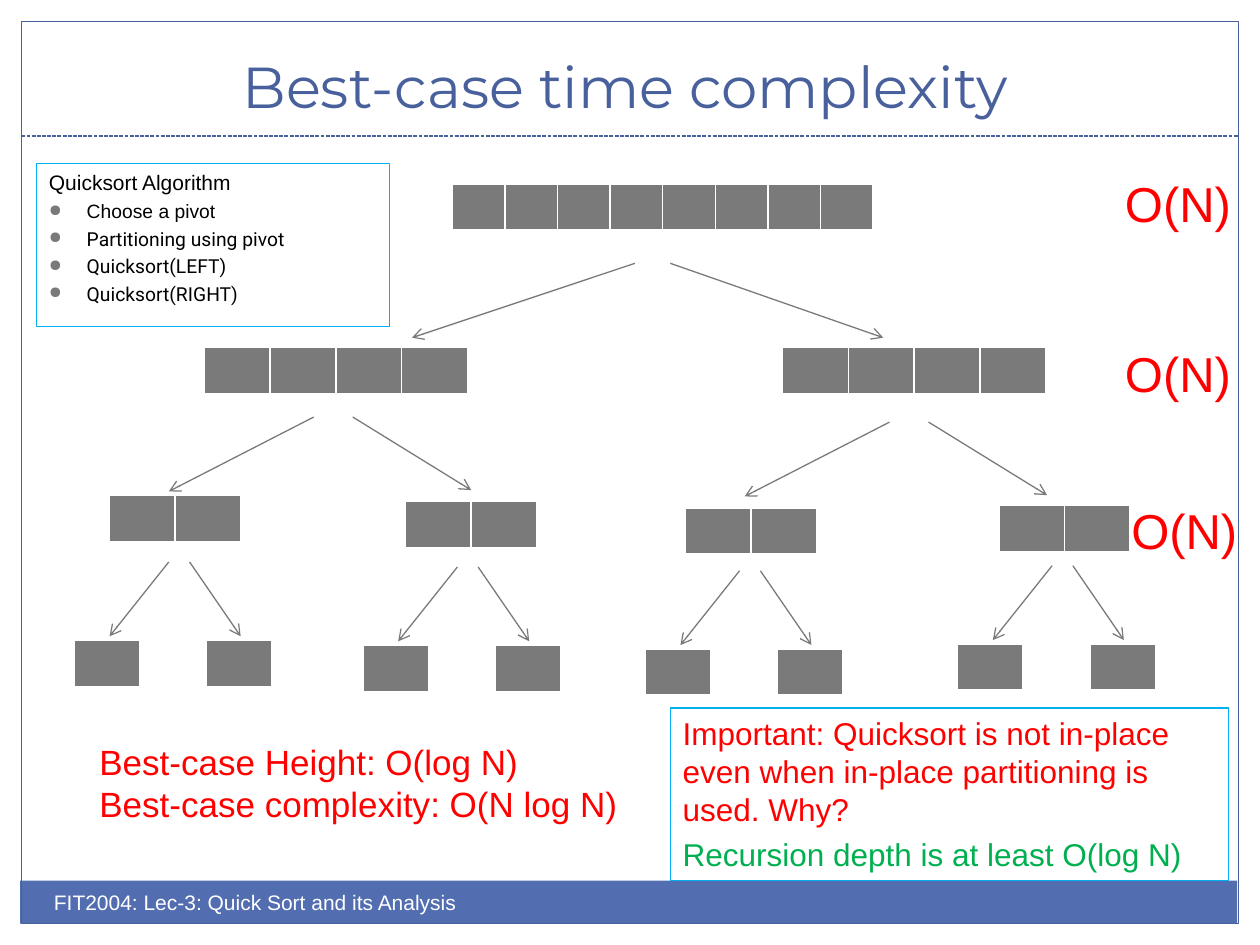
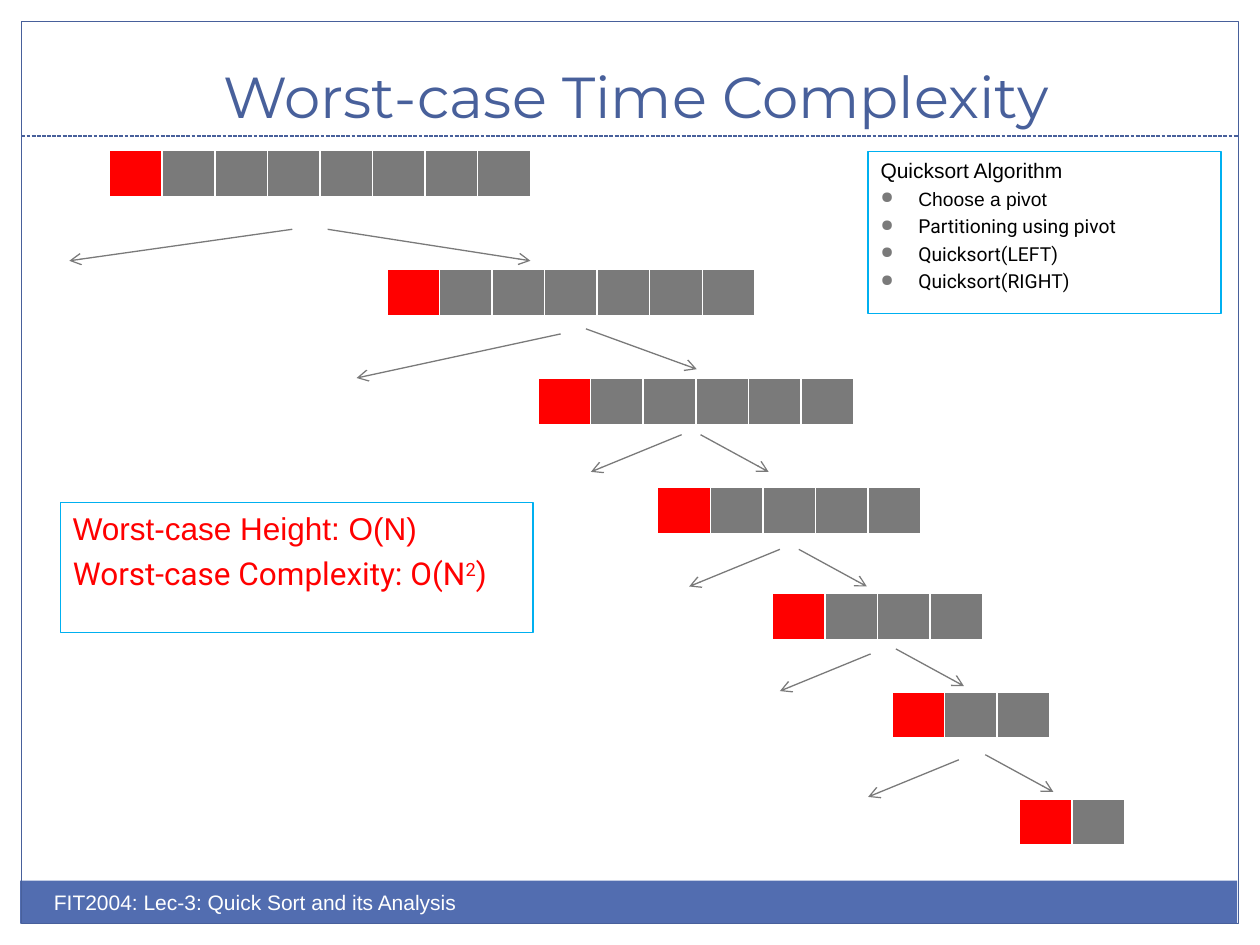
from lxml import etree
from pptx import Presentation
from pptx.dml.color import RGBColor
from pptx.enum.dml import MSO_LINE
from pptx.enum.shapes import MSO_CONNECTOR, MSO_SHAPE
from pptx.enum.text import MSO_ANCHOR, PP_ALIGN
from pptx.oxml.ns import qn
from pptx.util import Inches, Pt

WHITE = RGBColor(0xFF, 0xFF, 0xFF)
BLACK = RGBColor(0x00, 0x00, 0x00)
NAVY = RGBColor(0x48, 0x60, 0x9B)
BAND_BLUE = RGBColor(0x52, 0x6D, 0xB0)
BOX_BLUE = RGBColor(0x00, 0xB0, 0xF0)
GRAY = RGBColor(0x7A, 0x7A, 0x7A)
RED = RGBColor(0xFF, 0x00, 0x00)
GREEN = RGBColor(0x00, 0xB0, 0x50)

SLIDE_WIDTH, SLIDE_HEIGHT = Inches(10), Inches(7.5)
GRID_COLUMNS = 1000
UNIT = SLIDE_WIDTH // GRID_COLUMNS
ROW_HEIGHT = 38
THIN = Pt(0.75)

TITLE = {"name": "Montserrat", "size": Pt(33), "color": NAVY}
FOOTER = {"name": "Arial", "size": Pt(12), "color": WHITE}
COST = {"name": "Arial", "size": Pt(28), "color": RED}
SUMMARY = {"name": "Arial", "size": Pt(20), "color": RED}
NOTE = {"name": "Arial", "size": Pt(18), "color": RED}
NOTE_ROBOTO = {**NOTE, "name": "Roboto"}
HEADING = {"name": "Arial", "size": Pt(12), "color": BLACK}
STEP = {"name": "Arial", "size": Pt(11), "color": BLACK}
STEP_ROBOTO = {**STEP, "name": "Roboto"}

FOOTER_TEXT = "FIT2004: Lec-3: Quick Sort and its Analysis"
ALGORITHM = [
    ("Quicksort Algorithm", HEADING),
    ("Choose a pivot", STEP),
    ("Partitioning using pivot", STEP_ROBOTO),
    ("Quicksort(LEFT)", STEP_ROBOTO),
    ("Quicksort(RIGHT)", STEP_ROBOTO),
]
ALGORITHM_SIZE = (280, 129)

BEST = {
    "title": ("Best-case time complexity", (25, -25, 943, 125)),
    "algorithm": (29, 130),
    "costs": [(883, 133), (883, 268), (888, 392)],
    "summary": ["Best-case Height: O(log N)", "Best-case complexity: O(N log N)"],
    "note": [
        ("Important: Quicksort is not in-place even when in-place "
         "partitioning is used. Why?", NOTE),
        ("Recursion depth is at least O(log N)", {**NOTE, "color": GREEN}),
    ],
}
TREE_LEVELS = [
    {"cells": 8, "column": 41.75, "arrays": [(359, 146)],
     "forks": [(504, 209)], "left": (-177, 59), "gap": (28, 0), "right": (169, 59)},
    {"cells": 4, "column": 52.25, "arrays": [(162, 276), (621, 276)],
     "forks": [(249, 331), (706, 335)],
     "left": (-115, 59), "gap": (31, 0), "right": (94, 58)},
    {"cells": 2, "column": 52, "arrays": [(87, 393), (322, 398), (544, 403), (793, 401)],
     "forks": [(134, 446), (363, 450), (587, 453), (835, 449)],
     "left": (-47, 59), "gap": (16.5, 0), "right": (40.5, 59)},
]
LEAF_OFFSETS = [(-75, 62), (30, 62)]
LEAF_COLUMN = 52

WORST = {
    "title": ("Worst-case Time Complexity", (42, -17, 926, 125)),
    "algorithm": (689, 120),
    "note": [("Worst-case Height: O(N)", NOTE),
             ("Worst-case Complexity: O(N", NOTE_ROBOTO)],
}
CHAIN_COLUMN = 41.75
CHAIN_LENGTH = 8
CHAIN_ARRAYS = [(87, 119), (307, 214), (427, 300), (522, 387),
                (613, 471), (708, 549), (809, 634)]
SHORT_LEFT, SHORT_RIGHT = (-72, 29.5), (54, 29.5)
CHAIN_FORKS = [
    ((232, 182), (-177, 25), (28, 0), (161, 25)),
    ((445, 265), (-162, 35), (20, -4), (88, 32)),
    ((541, 345), SHORT_LEFT, (15, 0), SHORT_RIGHT),
    ((619, 436), SHORT_LEFT, (15, 0), SHORT_RIGHT),
    ((691, 519), SHORT_LEFT, (20, -4), SHORT_RIGHT),
    ((761, 603), SHORT_LEFT, (21, -4), SHORT_RIGHT),
]


def grid(*cells):
    return [round(cell * UNIT) for cell in cells]


def shift(point, offset):
    return point[0] + offset[0], point[1] + offset[1]


def add_run(paragraph, text, style):
    run = paragraph.add_run()
    run.text = text
    for attribute, value in style.items():
        if attribute == "color":
            run.font.color.rgb = value
        else:
            setattr(run.font, attribute, value)
    return run


def fill_text(shape, lines, spacing=0, **layout):
    frame = shape.text_frame
    settings = {"word_wrap": True, "vertical_anchor": MSO_ANCHOR.TOP, **layout}
    alignment = settings.pop("alignment", PP_ALIGN.LEFT)
    for attribute, value in settings.items():
        setattr(frame, attribute, value)
    for index, (text, style) in enumerate(lines):
        paragraph = frame.add_paragraph() if index else frame.paragraphs[0]
        paragraph.alignment = alignment
        paragraph.space_before = round(style["size"] * spacing)
        add_run(paragraph, text, style)
    return frame


def add_text(slide, box, lines, **layout):
    return fill_text(slide.shapes.add_textbox(*grid(*box)), lines, **layout)


def add_rectangle(slide, box, fill=None, line=None):
    shape = slide.shapes.add_shape(MSO_SHAPE.RECTANGLE, *grid(*box))
    shape.shadow.inherit = False
    for part, color in ((shape.fill, fill), (shape.line.fill, line)):
        if color is None:
            part.background()
        else:
            part.solid()
            part.fore_color.rgb = color
    if line is not None:
        shape.line.width = THIN
    return shape


def add_note(slide, box, lines):
    return fill_text(add_rectangle(slide, box, line=BOX_BLUE), lines, spacing=0.23)


def add_line(slide, start, end, color):
    line = slide.shapes.add_connector(MSO_CONNECTOR.STRAIGHT, *grid(*start, *end))
    line.line.color.rgb = color
    line.line.width = THIN
    etree.SubElement(line._element.spPr, qn("a:effectLst"))
    return line


def add_arrow(slide, start, offset):
    arrow = add_line(slide, start, shift(start, offset), GRAY)
    etree.SubElement(arrow.line._get_or_add_ln(), qn("a:tailEnd"), type="arrow")


def add_fork(slide, start, left, gap, right):
    add_arrow(slide, start, left)
    add_arrow(slide, shift(start, gap), right)


def add_border(cell, side, points):
    border = etree.SubElement(cell._tc.get_or_add_tcPr(), qn(f"a:ln{side}"),
                              w=str(Pt(points)))
    solid = etree.SubElement(border, qn("a:solidFill"))
    etree.SubElement(solid, qn("a:srgbClr"), val=str(WHITE))


def add_array(slide, position, colors, column):
    box = grid(*position, column * len(colors), ROW_HEIGHT)
    table = slide.shapes.add_table(1, len(colors), *box).table
    table.first_row = table.horz_banding = False
    for index, color in enumerate(colors):
        table.columns[index].width = round(column * UNIT)
        cell = table.cell(0, index)
        cell.margin_top = cell.margin_bottom = 0
        for side, points in (("L", 1), ("R", 1), ("T", 1), ("B", 3)):
            add_border(cell, side, points)
        cell.fill.solid()
        cell.fill.fore_color.rgb = color


def add_algorithm(slide, position):
    frame = add_note(slide, (*position, *ALGORITHM_SIZE), ALGORITHM)
    for paragraph in frame.paragraphs[1:]:
        properties = paragraph._p.get_or_add_pPr()
        properties.set("marL", str(Inches(0.3)))
        properties.set("indent", str(-Inches(0.3)))
        color = etree.SubElement(properties, qn("a:buClr"))
        etree.SubElement(color, qn("a:srgbClr"), val=str(GRAY))
        etree.SubElement(properties, qn("a:buSzPct"), val="85000")
        etree.SubElement(properties, qn("a:buChar"), char="●")


def start_slide(presentation, content):
    slide = presentation.slides.add_slide(presentation.slide_layouts[6])
    add_rectangle(slide, (16, 699, 966, 34), fill=BAND_BLUE)
    add_rectangle(slide, (17, 17, 966, 716), line=NAVY)
    divider = add_line(slide, (17, 108), (983, 108), NAVY)
    divider.line.dash_style = MSO_LINE.SQUARE_DOT
    title, box = content["title"]
    add_text(slide, box, [(title, TITLE)], alignment=PP_ALIGN.CENTER,
             vertical_anchor=MSO_ANCHOR.BOTTOM)
    add_text(slide, (33, 701, 500, 40), [(FOOTER_TEXT, FOOTER)])
    add_algorithm(slide, content["algorithm"])
    return slide


def build_best_case(presentation):
    slide = start_slide(presentation, BEST)
    for level in TREE_LEVELS:
        for position in level["arrays"]:
            add_array(slide, position, [GRAY] * level["cells"], level["column"])
        for start in level["forks"]:
            add_fork(slide, start, level["left"], level["gap"], level["right"])
    for start in TREE_LEVELS[-1]["forks"]:
        for offset in LEAF_OFFSETS:
            add_array(slide, shift(start, offset), [GRAY], LEAF_COLUMN)
    for position in BEST["costs"]:
        add_text(slide, (*position, 112, 57), [("O(N)", COST)])
    add_text(slide, (69, 583, 516, 77), [(text, SUMMARY) for text in BEST["summary"]])
    add_note(slide, (532, 562, 443, 137), BEST["note"])


def build_worst_case(presentation):
    slide = start_slide(presentation, WORST)
    for step, position in enumerate(CHAIN_ARRAYS):
        colors = [RED] + [GRAY] * (CHAIN_LENGTH - step - 1)
        add_array(slide, position, colors, CHAIN_COLUMN)
    for fork in CHAIN_FORKS:
        add_fork(slide, *fork)
    frame = add_note(slide, (48, 399, 375, 103), WORST["note"])
    complexity = frame.paragraphs[-1]
    exponent = add_run(complexity, "2", NOTE_ROBOTO)
    exponent._r.get_or_add_rPr().set("baseline", "30000")
    add_run(complexity, ")", NOTE_ROBOTO)


def main():
    presentation = Presentation()
    presentation.slide_width, presentation.slide_height = SLIDE_WIDTH, SLIDE_HEIGHT
    build_best_case(presentation)
    build_worst_case(presentation)
    presentation.save("out.pptx")


if __name__ == "__main__":
    main()
